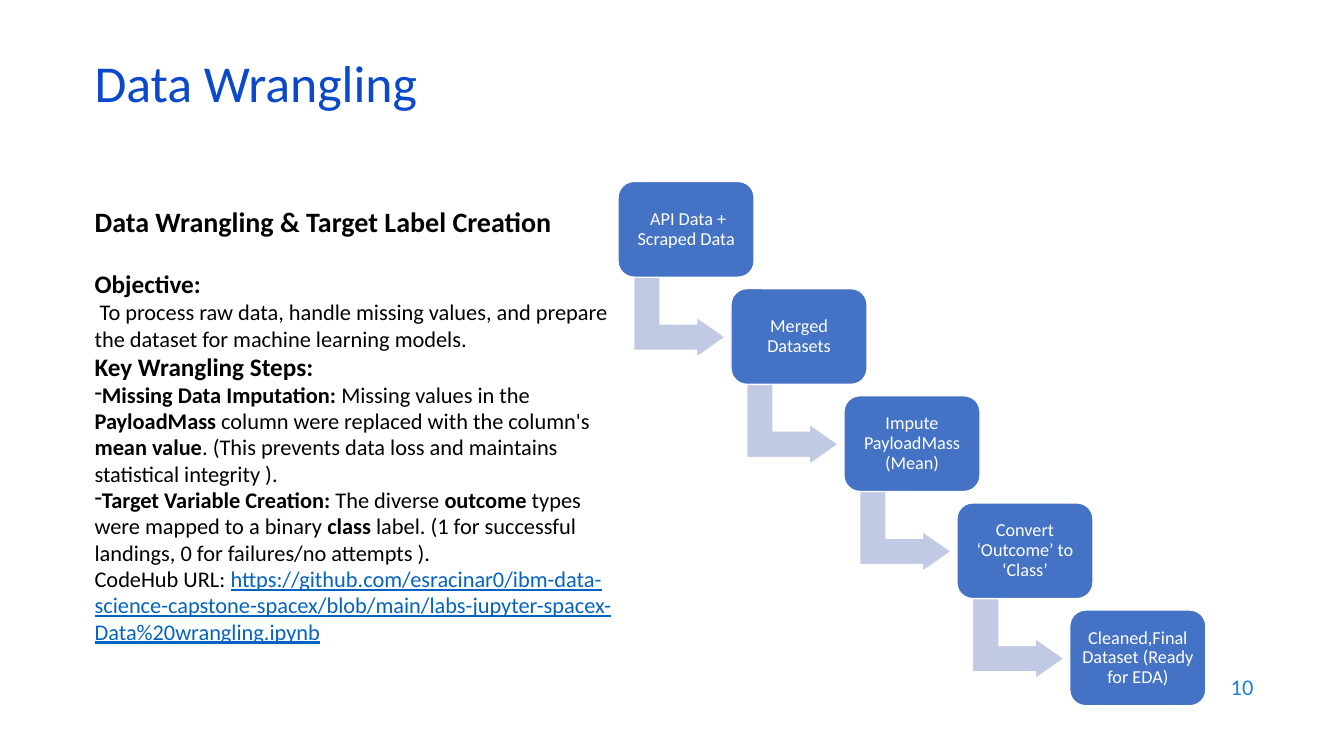
from lxml.etree import SubElement
from pptx import Presentation
from pptx.dml.color import RGBColor as RGB
from pptx.enum.shapes import MSO_SHAPE as Shape
from pptx.enum.text import MSO_ANCHOR as Anchor, PP_ALIGN as Align
from pptx.oxml.ns import qn
from pptx.util import Inches, Pt

THEME = dict(
    font="Calibri", ink="000000", title="0B49CB", page="1C7DDB", link="0563C1",
    step="4472C4", arrow="C1C9E4", white="FFFFFF",
    title_size=37, heading_size=20, label_size=18, body_size=16, step_size=13,
)

deck = Presentation()
deck.slide_width, deck.slide_height = Inches(13.33), Inches(7.5)
slide = deck.slides.add_slide(deck.slide_layouts[6])
CELL = deck.slide_height / 75


def grid(*cells):
    return [round(cell * CELL) for cell in cells]


def write(frame, paragraphs, size, color="ink", align=Align.LEFT, anchor=Anchor.TOP,
          spacing=1.0, insets=(1, 0.5, 1, 0.5)):
    frame.word_wrap = True
    frame.vertical_anchor = anchor
    frame.margin_left, frame.margin_top, frame.margin_right, frame.margin_bottom = grid(*insets)
    for index, (runs, style) in enumerate(paragraphs):
        para = frame.paragraphs[0] if index == 0 else frame.add_paragraph()
        para.alignment, para.line_spacing = align, spacing
        para.space_before = Pt(style.get("before", 0))
        if "bullet" in style:
            props = para._p.get_or_add_pPr()
            props.set("marL", "0")
            props.set("indent", "0")
            SubElement(props, qn("a:buChar")).set("char", style["bullet"])
        for words, look in runs:
            run = para.add_run()
            run.text = words
            run.font.name = THEME["font"]
            run.font.size = Pt(THEME[style.get("size", size)])
            run.font.bold = look == "bold"
            run.font.underline = look == "link"
            run.font.color.rgb = RGB.from_string(THEME["link" if look == "link" else color])


page = slide.shapes.add_textbox(*grid(95.3, 65.9, 30, 4.4))
write(page.text_frame, [([("10", "")], {})], "body_size", color="page",
      align=Align.RIGHT, anchor=Anchor.MIDDLE)

title = slide.shapes.add_textbox(*grid(8.4, 5.9, 115, 6))
write(title.text_frame, [([("Data Wrangling", "")], {})], "title_size", color="title",
      anchor=Anchor.MIDDLE, spacing=0.7)

summary = slide.shapes.add_textbox(*grid(8.4, 20, 53.4, 47.6))
write(summary.text_frame, [
    ([("Data Wrangling & Target Label Creation", "bold")], {"size": "heading_size"}),
    ([("Objective:", "bold")], {"size": "label_size", "before": 22}),
    ([(" To process raw data, handle missing values, and prepare the dataset "
       "for machine learning models.", "")], {}),
    ([("Key Wrangling Steps:", "bold")], {"size": "label_size"}),
    ([("Missing Data Imputation:", "bold"), (" Missing values in the ", ""),
      ("PayloadMass", "bold"), (" column were replaced with the column's ", ""),
      ("mean value", "bold"),
      (". (This prevents data loss and maintains statistical integrity ).", "")],
     {"bullet": "-"}),
    ([("Target Variable Creation:", "bold"), (" The diverse ", ""), ("outcome", "bold"),
      (" types were mapped to a binary ", ""), ("class ", "bold"),
      ("label. (1 for successful landings, 0 for failures/no attempts ).", "")],
     {"bullet": "-"}),
    ([("CodeHub URL: ", ""),
      ("https://github.com/esracinar0/ibm-data-science-capstone-spacex/blob/main/"
       "labs-jupyter-spacex-Data%20wrangling.ipynb", "link")], {}),
], "body_size", spacing=0.98, insets=(1, 0.5, 0, 0.5))

steps = [
    " API Data + Scraped Data",
    "Merged Datasets",
    "Impute PayloadMass (Mean)",
    "Convert ‘Outcome’ to ‘Class’",
    "Cleaned,Final Dataset (Ready for EDA)",
]
STEP_RIGHT, STEP_DOWN = 11.2, 10.63

for order, step in enumerate(steps):
    left, top = 61.3 + order * STEP_RIGHT, 18 + order * STEP_DOWN
    parts = [(Shape.ROUNDED_RECTANGLE, (left, top, 13.5, 9.5), "step", [0.167])]
    if order < len(steps) - 1:
        parts.insert(0, (Shape.BENT_UP_ARROW, (left + 2.1, top + 8.9, 8, 9.1),
                         "arrow", [0.328, 0.25, 0.358]))
    for outline, place, color, bends in parts:
        part = slide.shapes.add_shape(outline, *grid(*place))
        part.shadow.inherit = False
        part.fill.solid()
        part.fill.fore_color.rgb = RGB.from_string(THEME[color])
        part.line.color.rgb = RGB.from_string(THEME["white"])
        part.line.width = Pt(1)
        for index, bend in enumerate(bends):
            part.adjustments[index] = bend
        if color == "arrow":
            part.rotation = 90
        else:
            write(part.text_frame, [([(step, "")], {})], "step_size", color="white",
                  align=Align.CENTER, anchor=Anchor.MIDDLE, spacing=0.9, insets=[0.5] * 4)

deck.save("out.pptx")
